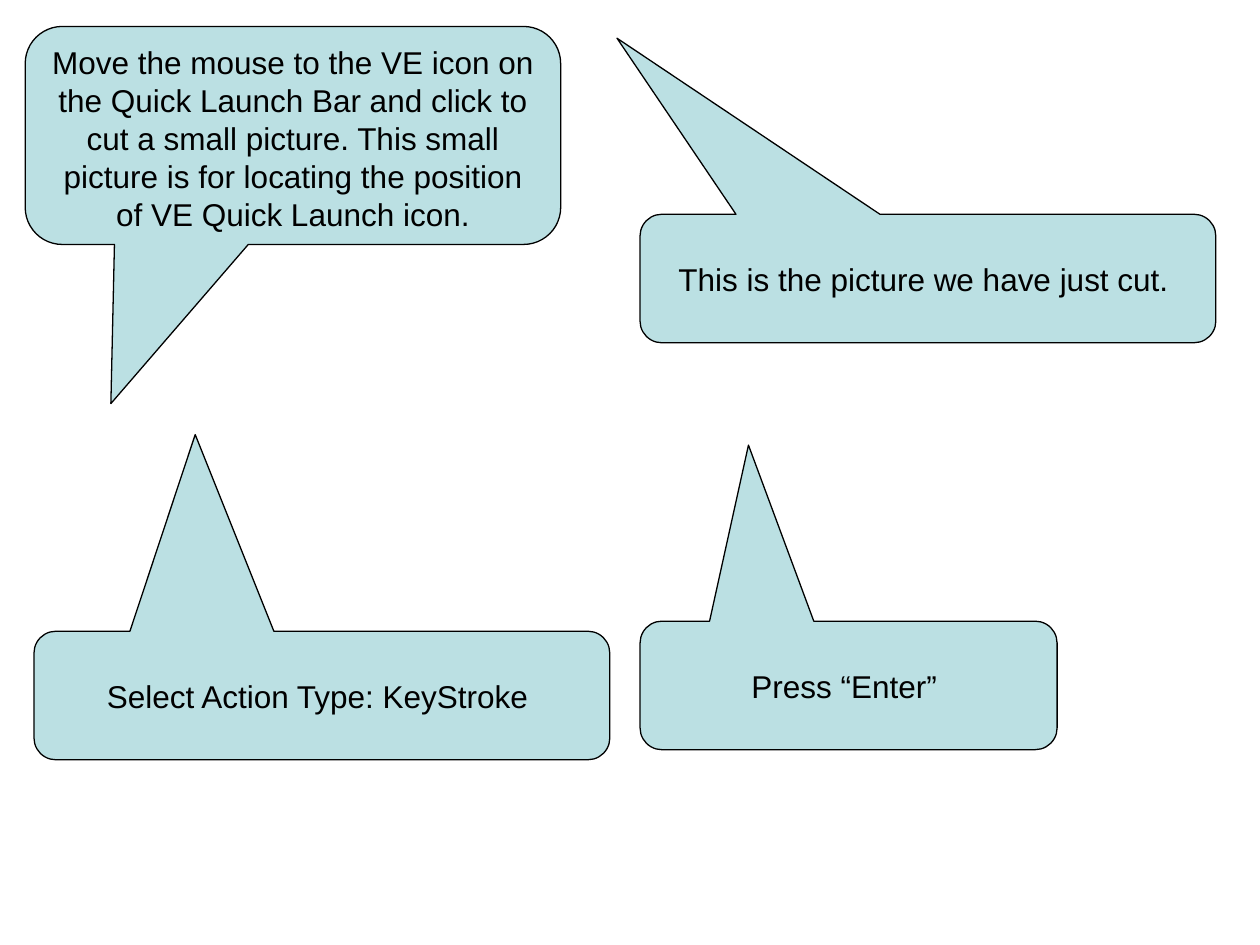
import pptx
import pptx.util
import pptx.dml.color
import pptx.enum.shapes
import pptx.enum.text

PALE_TEAL = pptx.dml.color.RGBColor(0xBB, 0xE0, 0xE3)
BLACK = pptx.dml.color.RGBColor(0, 0, 0)
TOP = pptx.enum.text.MSO_ANCHOR.TOP
MIDDLE = pptx.enum.text.MSO_ANCHOR.MIDDLE

deck = pptx.Presentation()
deck.slide_width = pptx.util.Inches(10)
deck.slide_height = pptx.util.Inches(7.5)
page = deck.slides.add_slide(deck.slide_layouts[6])

column = deck.slide_width / 100
row = deck.slide_height / 100
right_column = 50.8
wide = 45.7
low = 13.6

callouts = [
    (2, 2.8, 42.5, 23.07, (-0.34, 1.23), TOP,
     "Move the mouse to the VE icon on the Quick Launch Bar and click to cut a small picture. "
     "This small picture is for locating the position of VE Quick Launch icon."),
    (right_column, 22.67, wide, low, (-0.54, -1.87), MIDDLE,
     "This is the picture we have just cut. "),
    (2.7, 66.8, wide, low, (-0.22, -2.03), MIDDLE,
     "Select Action Type: KeyStroke "),
    (right_column, 65.73, 33.1, low, (-0.24, -1.87), MIDDLE,
     "Press “Enter” "),
]
font_format = {"name": "Arial", "size": pptx.util.Pt(18)}

for left, top, width, height, tip, anchor, words in callouts:
    box = page.shapes.add_shape(
        pptx.enum.shapes.MSO_SHAPE.ROUNDED_RECTANGULAR_CALLOUT,
        round(left * column), round(top * row), round(width * column), round(height * row))
    box.adjustments[0], box.adjustments[1] = tip
    box.adjustments[2] = 0.17
    box.shadow.inherit = False
    box.fill.solid()
    box.fill.fore_color.rgb = PALE_TEAL
    box.line.color.rgb = BLACK
    box.line.width = pptx.util.Pt(0.74)
    frame = box.text_frame
    frame.word_wrap = True
    frame.vertical_anchor = anchor
    para = frame.paragraphs[0]
    para.alignment = pptx.enum.text.PP_ALIGN.CENTER
    span = para.add_run()
    span.text = words
    for key, value in font_format.items():
        setattr(span.font, key, value)
    span.font.color.rgb = BLACK

deck.save("out.pptx")
